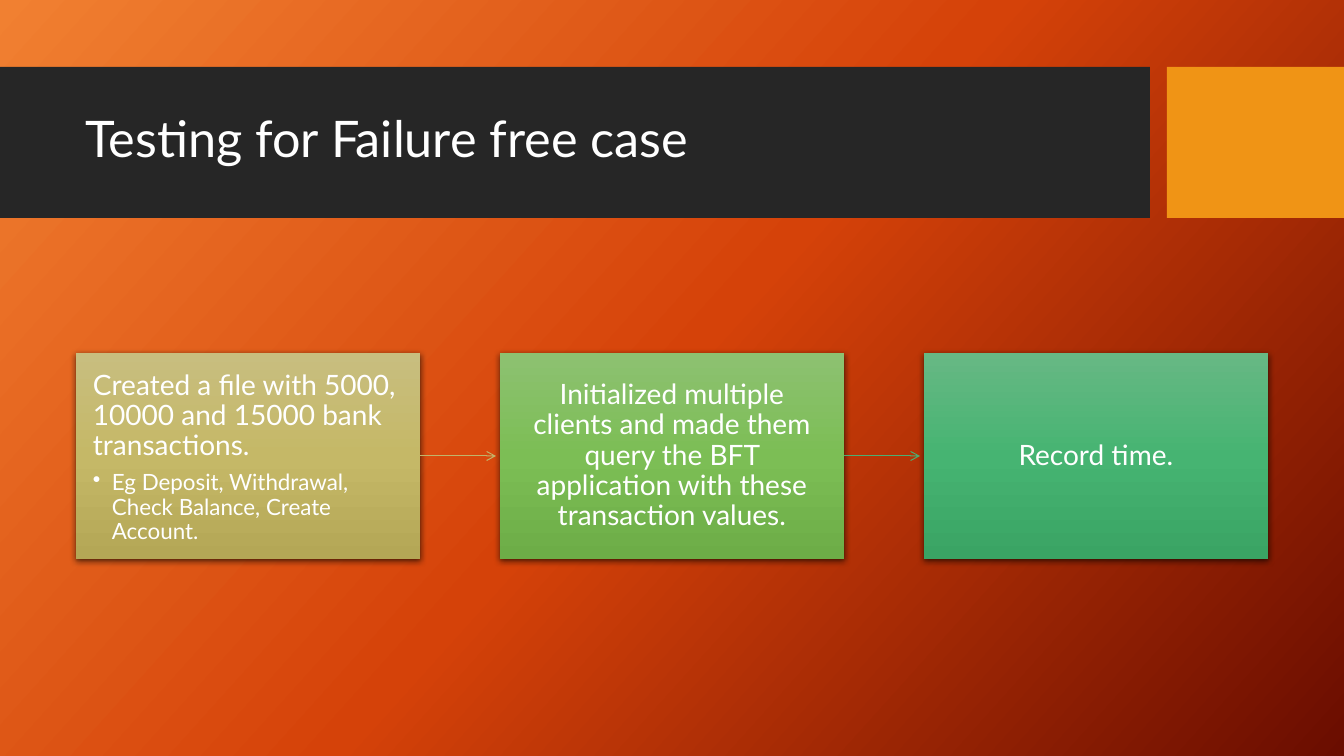
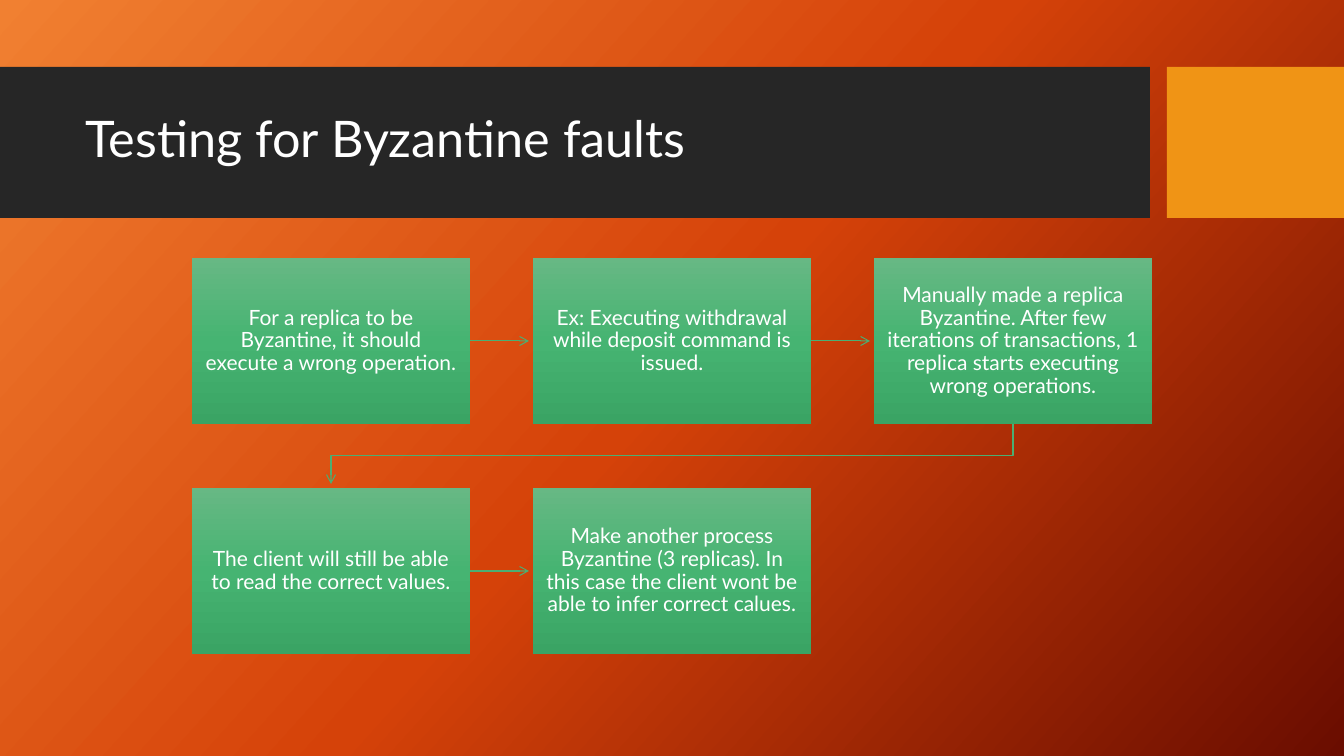
import copy

import lxml.etree
import pptx
import pptx.dml.color
import pptx.enum.shapes
import pptx.enum.text
import pptx.oxml.ns
import pptx.util

RGBColor = pptx.dml.color.RGBColor
SHAPE = pptx.enum.shapes.MSO_SHAPE
ANCHOR = pptx.enum.text.MSO_ANCHOR
ALIGN = pptx.enum.text.PP_ALIGN
qn = pptx.oxml.ns.qn

SCALE = 12192000 / 1344
WIDTH, HEIGHT = 1344, 756
FONT = "Lato"
ARROW_GAP = 4

WHITE = RGBColor(0xFF, 0xFF, 0xFF)
BLACK = RGBColor(0x00, 0x00, 0x00)
CHARCOAL = RGBColor(0x26, 0x26, 0x26)
AMBER = RGBColor(0xF0, 0x94, 0x15)
SAND_LINE = RGBColor(0xC1, 0xB5, 0x6B)
GREEN_LINE = RGBColor(0x4B, 0xAF, 0x73)
BACKDROP = (RGBColor(0xF1, 0x80, 0x31), RGBColor(0xD5, 0x42, 0x09), RGBColor(0x6A, 0x0D, 0x00))
SAND = (RGBColor(0xC8, 0xBE, 0x7F), RGBColor(0xC5, 0xB8, 0x67), RGBColor(0xB4, 0xA7, 0x56))
LEAF = (RGBColor(0x8D, 0xC1, 0x71), RGBColor(0x7C, 0xBE, 0x55), RGBColor(0x6D, 0xAD, 0x47))
GREEN = (RGBColor(0x67, 0xB8, 0x84), RGBColor(0x46, 0xB4, 0x72), RGBColor(0x3A, 0xA4, 0x64))

BANDS = [((0, 67, 1150, 151), CHARCOAL), ((1167, 67, 177, 151), AMBER)]
TITLE_BOX = (75, 82, 1059, 119)

FAILURE_FREE = {
    "title": "Testing for Failure free case",
    "box": (76, 353, 344, 206),
    "step": (424, 0),
    "columns": 3,
    "insets": (17, 18),
    "size": 20,
    "shadow": True,
    "cards": [
        (SAND, ["Created a file with 5000, 10000 and 15000 bank transactions.",
                "Eg Deposit, Withdrawal, Check Balance, Create Account."]),
        (LEAF, ["Initialized multiple clients and made them query the BFT application "
                "with these transaction values."]),
        (GREEN, ["Record time."]),
    ],
    "arrows": [SAND_LINE, GREEN_LINE],
}

BYZANTINE = {
    "title": "Testing for Byzantine faults",
    "box": (192, 258, 278, 166),
    "step": (341, 230),
    "columns": 3,
    "insets": (13, 14),
    "size": 15,
    "shadow": False,
    "cards": [(GREEN, [text]) for text in (
        "For a replica to be Byzantine, it should execute a wrong operation.",
        "Ex: Executing withdrawal while deposit command is issued.",
        "Manually made a replica Byzantine. After few iterations of transactions, "
        "1 replica starts executing wrong operations.",
        "The client will still be able to read the correct values.",
        "Make another process Byzantine (3 replicas). In this case the client wont "
        "be able to infer correct calues.",
    )],
    "arrows": [GREEN_LINE] * 4,
}


def px(value):
    return pptx.util.Emu(round(value * SCALE))


def apply(target, values):
    for name, value in values.items():
        setattr(target, name, value)


def place(shape, box):
    apply(shape, dict(zip(("left", "top", "width", "height"), map(px, box))))


def paint_gradient(fill, colors, angle):
    fill.gradient()
    first = fill.gradient_stops[0]._gs
    first.addnext(copy.deepcopy(first))
    for index, (stop, color) in enumerate(zip(fill.gradient_stops, colors)):
        stop.color.rgb = color
        stop.position = index / (len(colors) - 1)
    fill.gradient_angle = 360 - angle


def write(para, text, size, align):
    span = para.add_run()
    span.text = text
    apply(span.font, {"name": FONT, "size": pptx.util.Pt(size)})
    span.font.color.rgb = WHITE
    apply(para, {"alignment": align, "line_spacing": 0.9})


def add_bullet(para):
    apply(para, {"level": 1, "space_before": pptx.util.Pt(7)})
    properties = para._p.get_or_add_pPr()
    properties.set("marL", str(px(19)))
    properties.set("indent", str(px(-19)))
    lxml.etree.SubElement(properties, qn("a:buChar")).set("char", "•")


def add_shadow(shape):
    effects = shape._element.spPr.find(qn("a:effectLst"))
    shadow = lxml.etree.SubElement(effects, qn("a:outerShdw"), {
        "blurRad": str(pptx.util.Pt(4.5)), "dist": str(pptx.util.Pt(1.5)),
        "dir": "5400000", "algn": "ctr", "rotWithShape": "0"})
    color = lxml.etree.SubElement(shadow, qn("a:srgbClr"), {"val": str(BLACK)})
    lxml.etree.SubElement(color, qn("a:alpha"), {"val": "63000"})


def style_arrow(arrow, color):
    arrow.line.color.rgb = color
    arrow.line.width = pptx.util.Pt(0.75)
    lxml.etree.SubElement(arrow.line._get_or_add_ln(), qn("a:tailEnd"), {"type": "arrow"})
    properties = arrow._element.spPr
    if properties.find(qn("a:effectLst")) is None:
        lxml.etree.SubElement(properties, qn("a:effectLst"))


def add_rectangle(page, box):
    shape = page.shapes.add_shape(SHAPE.RECTANGLE, *map(px, box))
    shape.shadow.inherit = False
    shape.line.fill.background()
    return shape


def build_frame(layout, page):
    paint_gradient(layout.background.fill, BACKDROP, 42)
    place(layout.placeholders[0], TITLE_BOX)
    for index, (box, color) in enumerate(BANDS):
        band = add_rectangle(page, box)
        band.fill.solid()
        band.fill.fore_color.rgb = color
        band._element.nvSpPr.cNvPr.set("id", str(20 + index))
        layout.shapes._spTree.insert(2 + index, band._element)


def add_title(page, text):
    frame = page.shapes.title.text_frame
    apply(frame, {"vertical_anchor": ANCHOR.MIDDLE, "word_wrap": True,
                  "auto_size": pptx.enum.text.MSO_AUTO_SIZE.NONE})
    write(frame.paragraphs[0], text, 36, ALIGN.LEFT)


def add_card(page, box, colors, texts, flow):
    card = add_rectangle(page, box)
    paint_gradient(card.fill, colors, 90)
    if flow["shadow"]:
        add_shadow(card)
    listed = len(texts) > 1
    side, end = map(px, flow["insets"])
    frame = card.text_frame
    apply(frame, {"word_wrap": True, "margin_left": side, "margin_right": side,
                  "margin_top": end, "margin_bottom": end,
                  "vertical_anchor": ANCHOR.TOP if listed else ANCHOR.MIDDLE})
    align = ALIGN.LEFT if listed else ALIGN.CENTER
    write(frame.paragraphs[0], texts[0], flow["size"], align)
    for text in texts[1:]:
        para = frame.add_paragraph()
        write(para, text, 16, align)
        add_bullet(para)
    return card


def add_straight_arrow(page, card, start, target, color):
    left, top, width, height = start
    middle = px(top + height / 2)
    arrow = page.shapes.add_connector(
        pptx.enum.shapes.MSO_CONNECTOR.STRAIGHT,
        px(left + width), middle, px(target[0] - ARROW_GAP), middle)
    arrow.begin_connect(card, 3)
    style_arrow(arrow, color)


def add_return_arrow(page, start, target, color):
    left, top, width, height = start
    begin_x, begin_y = left + width / 2, top + height
    end_x = target[0] + target[2] / 2
    turn_y = (begin_y + target[1]) / 2
    outline = page.shapes.build_freeform(begin_x, begin_y, scale=SCALE)
    outline.add_line_segments(
        [(begin_x, turn_y), (end_x, turn_y), (end_x, target[1] - ARROW_GAP)], close=False)
    arrow = outline.convert_to_shape()
    arrow.fill.background()
    arrow.shadow.inherit = False
    style_arrow(arrow, color)


def build_flow(page, flow):
    add_title(page, flow["title"])
    left, top, width, height = flow["box"]
    step_x, step_y = flow["step"]
    boxes, cards = [], []
    for index, (colors, texts) in enumerate(flow["cards"]):
        row, column = divmod(index, flow["columns"])
        box = (left + column * step_x, top + row * step_y, width, height)
        boxes.append(box)
        cards.append(add_card(page, box, colors, texts, flow))
    for card, start, target, color in zip(cards, boxes, boxes[1:], flow["arrows"]):
        if start[1] == target[1]:
            add_straight_arrow(page, card, start, target, color)
        else:
            add_return_arrow(page, start, target, color)


def main():
    deck = pptx.Presentation()
    apply(deck, {"slide_width": px(WIDTH), "slide_height": px(HEIGHT)})
    layout = deck.slide_layouts[5]
    pages = [deck.slides.add_slide(layout) for _ in range(2)]
    build_frame(layout, pages[0])
    for page, flow in zip(pages, (FAILURE_FREE, BYZANTINE)):
        build_flow(page, flow)
    deck.save("out.pptx")


if __name__ == "__main__":
    main()
